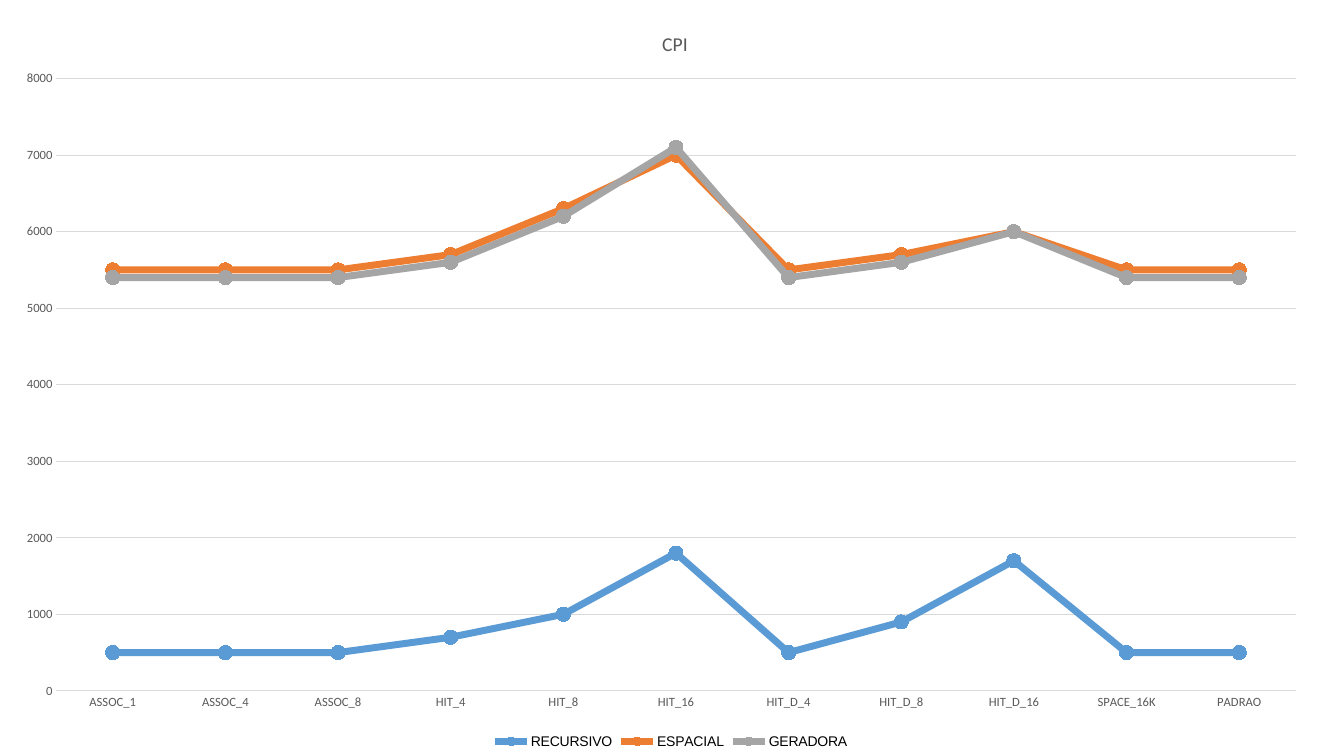
from dataclasses import dataclass

from lxml import etree
from pptx import Presentation
from pptx.chart.axis import CategoryAxis, ValueAxis
from pptx.chart.chart import Chart
from pptx.chart.data import CategoryChartData
from pptx.chart.series import LineSeries
from pptx.dml.color import RGBColor
from pptx.enum.chart import XL_CHART_TYPE, XL_LEGEND_POSITION, XL_MARKER_STYLE, XL_TICK_MARK
from pptx.oxml.ns import qn
from pptx.text.text import Font
from pptx.util import Inches, Pt

LINE_MARKERS = XL_CHART_TYPE.LINE_MARKERS
LEGEND_BOTTOM = XL_LEGEND_POSITION.BOTTOM
CIRCLE = XL_MARKER_STYLE.CIRCLE
NO_TICK = XL_TICK_MARK.NONE
BLANK_LAYOUT = 6


@dataclass(frozen=True)
class Theme:
    label_font: str = "Calibri"
    legend_font: str = "Arial"
    muted: str = "595959"
    black: str = "000000"
    grid: str = "D9D9D9"
    title_size: float = 14
    legend_size: float = 10
    axis_size: float = 9
    grid_width: float = 0.75
    line_width: float = 5
    marker_size: int = 10


@dataclass(frozen=True)
class Program:
    name: str
    color: str
    cycles: tuple[int, ...]


THEME = Theme()
CONFIGURATIONS = (
    "ASSOC_1", "ASSOC_4", "ASSOC_8", "HIT_4", "HIT_8", "HIT_16",
    "HIT_D_4", "HIT_D_8", "HIT_D_16", "SPACE_16K", "PADRAO",
)
PROGRAMS = (
    Program("RECURSIVO", "5B9BD5",
            (500, 500, 500, 700, 1000, 1800, 500, 900, 1700, 500, 500)),
    Program("ESPACIAL", "ED7D31",
            (5500, 5500, 5500, 5700, 6300, 7000, 5500, 5700, 6000, 5500, 5500)),
    Program("GERADORA", "A5A5A5",
            (5400, 5400, 5400, 5600, 6200, 7100, 5400, 5600, 6000, 5400, 5400)),
)


def set_font(font: Font, name: str, size: float, color: str) -> None:
    font.name = name
    font.size = Pt(size)
    font.bold = False
    font.color.rgb = RGBColor.from_string(color)


def place(part: etree._Element, **shares: float) -> None:
    for old in part.findall(qn("c:layout")):
        part.remove(old)
    follows_first = part[0].tag in (qn("c:tx"), qn("c:legendPos"))
    layout = etree.Element(qn("c:layout"))
    part.insert(int(follows_first), layout)
    manual = etree.SubElement(layout, qn("c:manualLayout"))
    if "w" in shares:
        etree.SubElement(manual, qn("c:layoutTarget"), val="inner")
    for side in ("x", "y"):
        etree.SubElement(manual, qn(f"c:{side}Mode"), val="edge")
    for side, share in shares.items():
        etree.SubElement(manual, qn(f"c:{side}"), val=str(share))


def style_axis(axis: CategoryAxis | ValueAxis) -> None:
    axis.major_tick_mark = NO_TICK
    axis.minor_tick_mark = NO_TICK
    set_font(axis.tick_labels.font, THEME.label_font, THEME.axis_size, THEME.muted)


def style_series(series: LineSeries, color: str) -> None:
    rgb = RGBColor.from_string(color)
    series.smooth = False
    series.format.line.color.rgb = rgb
    series.format.line.width = Pt(THEME.line_width)
    marker = series.marker
    marker.style = CIRCLE
    marker.size = THEME.marker_size
    marker.format.fill.solid()
    marker.format.fill.fore_color.rgb = rgb
    marker.format.line.color.rgb = rgb


def style_axes(chart: Chart) -> None:
    style_axis(chart.category_axis)
    style_axis(chart.value_axis)
    values = chart.value_axis
    values.minimum_scale, values.maximum_scale, values.major_unit = 0, 8000, 1000
    values.tick_labels.number_format = "General"
    values.tick_labels.number_format_is_linked = False
    values.format.line.fill.background()
    values.has_major_gridlines = True
    for line in (values.major_gridlines.format.line, chart.category_axis.format.line):
        line.color.rgb = RGBColor.from_string(THEME.grid)
        line.width = Pt(THEME.grid_width)
    for crossing in chart._chartSpace.iter(qn("c:crossBetween")):
        crossing.set("val", "midCat")


def add_title(chart: Chart, text: str) -> None:
    chart.has_title = True
    span = chart.chart_title.text_frame.paragraphs[0].add_run()
    span.text = text
    set_font(span.font, THEME.label_font, THEME.title_size, THEME.muted)


def add_legend(chart: Chart) -> None:
    chart.has_legend = True
    chart.legend.position = LEGEND_BOTTOM
    chart.legend.include_in_layout = False
    set_font(chart.legend.font, THEME.legend_font, THEME.legend_size, THEME.black)


deck = Presentation()
deck.slide_width, deck.slide_height = Inches(13.33), Inches(7.5)
page = deck.slides.add_slide(deck.slide_layouts[BLANK_LAYOUT])

data = CategoryChartData(number_format="General")
data.categories = CONFIGURATIONS
for program in PROGRAMS:
    data.add_series(program.name, program.cycles)

chart = page.shapes.add_chart(
    LINE_MARKERS, 0, 0, deck.slide_width, deck.slide_height, data).chart
set_font(chart.font, THEME.legend_font, THEME.legend_size, THEME.black)
add_title(chart, "CPI")
add_legend(chart)
style_axes(chart)
plot = chart.plots[0]
plot.vary_by_categories = False
for series, program in zip(plot.series, PROGRAMS):
    style_series(series, program.color)

body = chart._chartSpace.chart
place(body.find(qn("c:title")), x=0.49, y=0.035)
place(body.find(qn("c:plotArea")), x=0.042, y=0.104, w=0.922, h=0.81)
place(body.find(qn("c:legend")), x=0.365, y=0.965)

deck.save("out.pptx")
